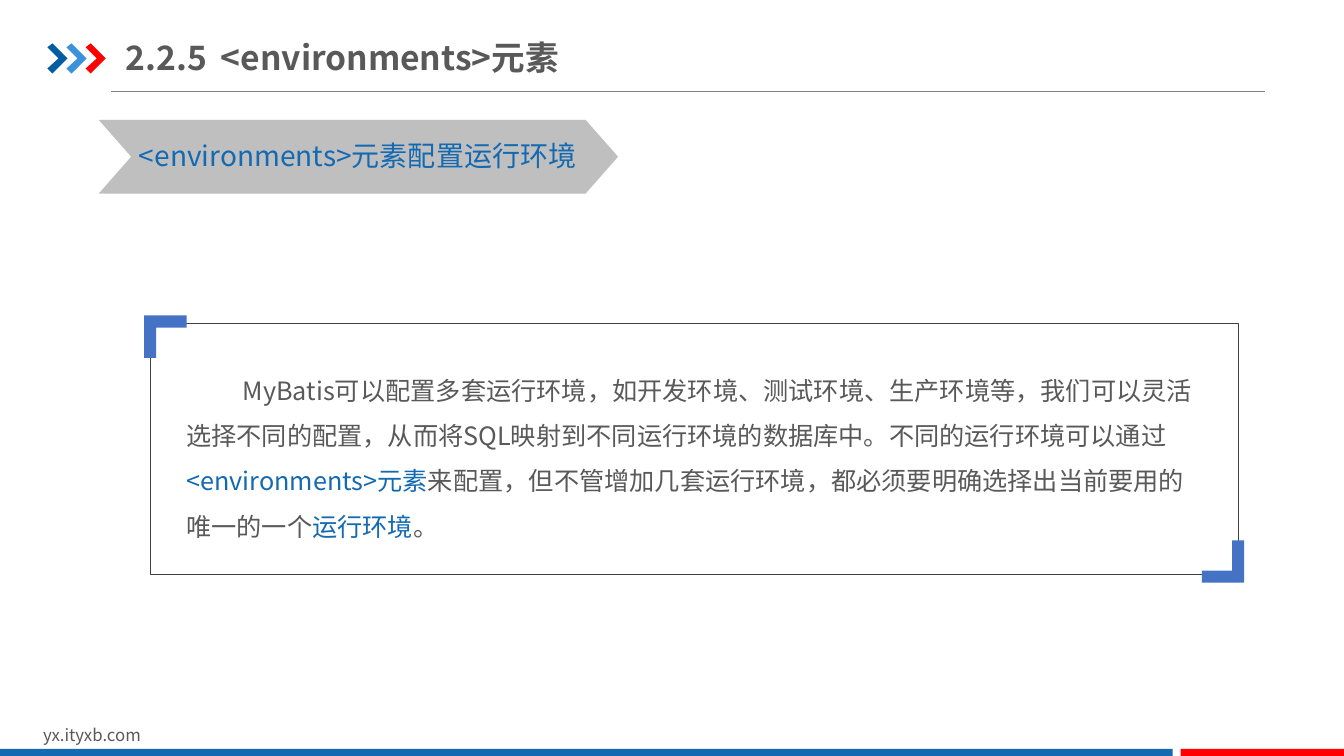
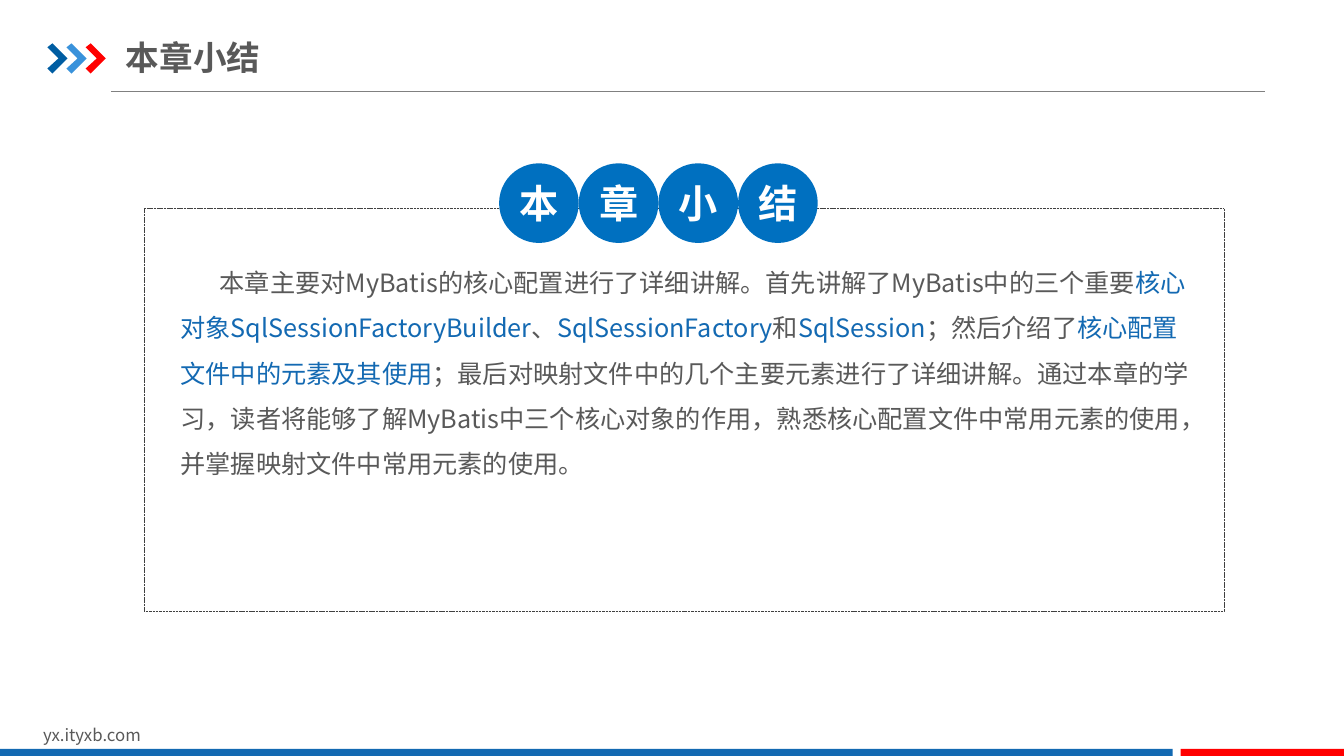
from dataclasses import dataclass

from lxml.etree import SubElement
from pptx import Presentation
from pptx.dml.color import RGBColor
from pptx.enum.dml import MSO_LINE_DASH_STYLE as Dash
from pptx.enum.shapes import MSO_CONNECTOR as Connector, MSO_SHAPE as Shape
from pptx.enum.text import MSO_ANCHOR as Anchor, PP_ALIGN as Align
from pptx.oxml.ns import qn
from pptx.util import Inches, Pt


@dataclass(frozen=True)
class Theme:
    font: str = "Noto Sans CJK SC"
    text: str = "595959"
    accent: str = "1369B2"
    red: str = "FF0000"
    navy: str = "005DA2"
    sky: str = "3992DB"
    circle: str = "0070C0"
    bracket: str = "4472C4"
    banner: str = "BFBFBF"
    rule: str = "808080"
    frame: str = "404040"
    white: str = "FFFFFF"
    title_size: int = 24
    banner_size: int = 20
    body_size: int = 18
    circle_size: int = 28
    footer_size: int = 12


THEME = Theme()


def rgb(value):
    return RGBColor.from_string(value)


def write_text(frame, *parts, size, color=THEME.text, accent=THEME.accent, bold=False,
               align=Align.LEFT, anchor=Anchor.TOP, insets=(0.1, 0.05),
               spacing=None, indent=0, tab=None):
    frame.word_wrap = True
    frame.vertical_anchor = anchor
    frame.margin_left = frame.margin_right = Inches(insets[0])
    frame.margin_top = frame.margin_bottom = Inches(insets[1])
    para = frame.paragraphs[0]
    para.alignment = align
    if spacing:
        para.line_spacing = spacing
    properties = para._p.get_or_add_pPr()
    if indent:
        properties.set("marL", "0")
        properties.set("indent", str(Inches(indent)))
    if tab:
        stops = SubElement(properties, qn("a:tabLst"))
        SubElement(stops, qn("a:tab"), pos=str(Inches(tab)), algn="l")
    for index, part in enumerate(parts):
        span = para.add_run()
        span.text = part
        span.font.size = Pt(size)
        span.font.bold = bold
        span.font.color.rgb = rgb(accent if index % 2 else color)
        span.font.name = THEME.font
        SubElement(span.font._element, qn("a:ea"), typeface=THEME.font)


class Painter:
    def __init__(self, deck):
        self.deck = deck
        self.page = None

    def start_page(self, title, **style):
        self.page = self.deck.slides.add_slide(self.deck.slide_layouts[6])
        self.rule(1.1, 12.55, 0.91)
        for index, color in enumerate((THEME.navy, THEME.sky, THEME.red)):
            self.arrow(0.47 + index * 0.19, 0.43, color)
        self.text(0.33, 7.14, 3.18, 0.3, "yx.ityxb.com", size=THEME.footer_size)
        self.shape(Shape.RECTANGLE, 0, 7.43, 11.63, 0.07, fill=THEME.accent)
        self.shape(Shape.RECTANGLE, 11.71, 7.43, 1.62, 0.07, fill=THEME.red)
        self.text(1.25, 0.29, 4.87, 0.55, title, size=THEME.title_size, bold=True,
                  anchor=Anchor.MIDDLE, insets=(0, 0.07), **style)

    def rule(self, left, right, y):
        line = self.page.shapes.add_connector(
            Connector.STRAIGHT, Inches(left), Inches(y), Inches(right), Inches(y))
        line.line.color.rgb = rgb(THEME.rule)
        line.line.width = Pt(0.5)
        SubElement(line._element.spPr, qn("a:effectLst"))

    def text(self, left, top, width, height, *parts, **style):
        box = self.page.shapes.add_textbox(
            Inches(left), Inches(top), Inches(width), Inches(height))
        write_text(box.text_frame, *parts, **style)

    def shape(self, kind, left, top, width, height, fill):
        shape = self.page.shapes.add_shape(
            kind, Inches(left), Inches(top), Inches(width), Inches(height))
        self.paint(shape, fill)
        return shape

    def paint(self, shape, fill):
        shape.shadow.inherit = False
        shape.line.fill.background()
        if fill:
            shape.fill.solid()
            shape.fill.fore_color.rgb = rgb(fill)
        else:
            shape.fill.background()

    def frame(self, left, top, width, height, dash=None):
        frame = self.shape(Shape.RECTANGLE, left, top, width, height, fill=None)
        frame.line.color.rgb = rgb(THEME.frame)
        frame.line.width = Pt(0.25)
        if dash:
            frame.line.dash_style = dash

    def outline(self, points, fill):
        corners = [(Inches(x), Inches(y)) for x, y in points]
        builder = self.page.shapes.build_freeform(*corners[0])
        builder.add_line_segments(corners[1:], close=True)
        self.paint(builder.convert_to_shape(), fill)

    def arrow(self, left, top, fill):
        steps = ((0, 0.04), (0.05, 0), (0.2, 0.15), (0.05, 0.3), (0, 0.25), (0.11, 0.15))
        self.outline([(left + x, top + y) for x, y in steps], fill)

    def bracket(self, x, y, direction):
        steps = ((0, 0), (0.42, 0), (0.42, 0.12), (0.12, 0.12), (0.12, 0.42), (0, 0.42))
        self.outline([(x + direction * dx, y + direction * dy) for dx, dy in steps],
                     THEME.bracket)

    def banner(self, label):
        chevron = self.shape(Shape.CHEVRON, 0.98, 1.19, 5.15, 0.73, fill=THEME.banner)
        chevron.adjustments[0] = 0.44
        self.text(1.28, 1.33, 4.69, 0.44, label,
                  size=THEME.banner_size, color=THEME.accent)

    def circles(self, letters, left, top, size):
        for index, letter in enumerate(letters):
            circle = self.shape(Shape.OVAL, left + index * size, top, size, size,
                                fill=THEME.circle)
            write_text(circle.text_frame, letter, size=THEME.circle_size,
                       color=THEME.white, bold=True, align=Align.CENTER,
                       anchor=Anchor.MIDDLE, insets=(0, 0))

    def body(self, left, top, width, height, *parts, **style):
        self.text(left, top, width, height, *parts,
                  size=THEME.body_size, spacing=1.5, **style)


def draw_environments(painter):
    painter.start_page("2.2.5\t<environments>元素", tab=0.94)
    painter.banner("<environments>元素配置运行环境")
    painter.body(
        1.75, 3.52, 10.27, 1.86,
        "MyBatis可以配置多套运行环境，如开发环境、测试环境、生产环境等，我们可以灵活"
        "选择不同的配置，从而将SQL映射到不同运行环境的数据库中。不同的运行环境可以通过",
        "<environments>元素",
        "来配置，但不管增加几套运行环境，都必须要明确选择出当前要用的唯一的一个",
        "运行环境",
        "。",
        indent=0.56)
    painter.frame(1.49, 3.21, 10.79, 2.49)
    painter.bracket(1.43, 3.13, 1)
    painter.bracket(12.34, 5.78, -1)


def draw_summary(painter):
    painter.start_page("本章小结")
    painter.frame(1.43, 2.07, 10.71, 3.99, dash=Dash.SQUARE_DOT)
    painter.circles("本章小结", 4.95, 1.62, 0.79)
    painter.body(
        1.66, 2.43, 10.39, 2.35,
        "本章主要对MyBatis的核心配置进行了详细讲解。首先讲解了MyBatis中的三个重要",
        "核心对象SqlSessionFactoryBuilder",
        "、",
        "SqlSessionFactory",
        "和",
        "SqlSession",
        "；然后介绍了",
        "核心配置文件中的元素及其使用",
        "；最后对映射文件中的几个主要元素进行了详细讲解。通过本章的学习，读者将能够了解"
        "MyBatis中三个核心对象的作用，熟悉核心配置文件中常用元素的使用，"
        "并掌握映射文件中常用元素的使用。",
        insets=(0.13, 0.07), indent=0.39)


def main():
    deck = Presentation()
    deck.slide_width = Inches(13.33)
    deck.slide_height = Inches(7.5)
    painter = Painter(deck)
    draw_environments(painter)
    draw_summary(painter)
    deck.save("out.pptx")


if __name__ == "__main__":
    main()
